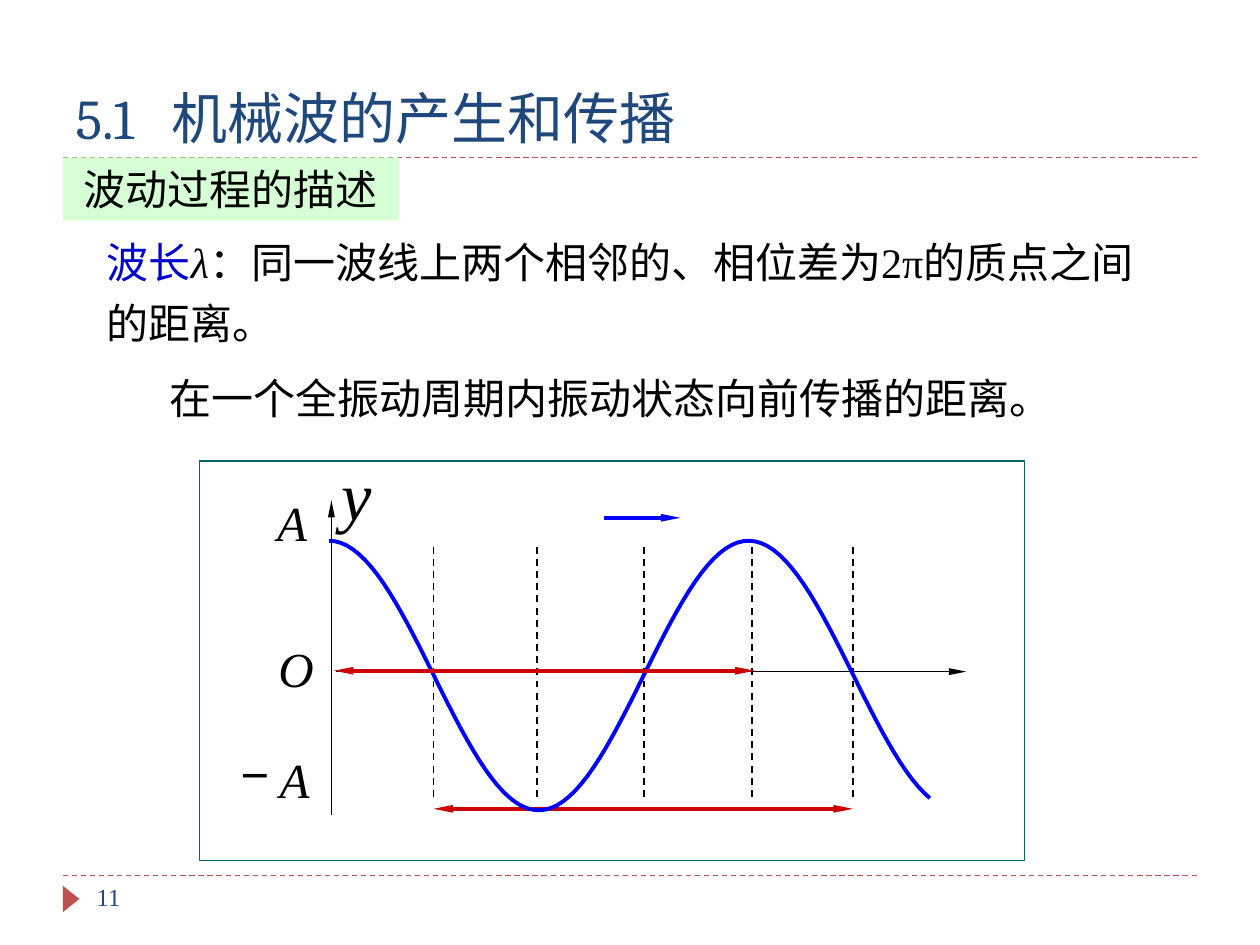
import math
from dataclasses import dataclass
from typing import Optional

import pptx
import pptx.dml.color
import pptx.enum.dml
import pptx.enum.shapes
import pptx.enum.text
import pptx.oxml
import pptx.oxml.ns
import pptx.util

Pt = pptx.util.Pt
RGB = pptx.dml.color.RGBColor.from_string
Shape = pptx.enum.shapes.MSO_SHAPE
Align = pptx.enum.text.PP_ALIGN
Anchor = pptx.enum.text.MSO_ANCHOR
AutoSize = pptx.enum.text.MSO_AUTO_SIZE
qn = pptx.oxml.ns.qn


@dataclass(frozen=True)
class Theme:
    accent: str = "C0504D"
    navy: str = "1F497D"
    term: str = "0000CC"
    text: str = "000000"
    band: str = "CCFFCC"
    panel: str = "FFFFFF"
    panel_line: str = "006666"
    wave: str = "0000FF"
    span: str = "CC0000"
    serif: str = "Times New Roman"
    sans: str = "Arial"
    heading: str = "Cambria"
    title_size: float = 32
    body_size: float = 24
    label_size: float = 28
    axis_size: float = 39
    number_size: float = 14


T = Theme()


@dataclass(frozen=True)
class Run:
    text: str
    size: float = T.body_size
    font: str = T.serif
    color: str = T.text
    italic: bool = False


@dataclass(frozen=True)
class Box:
    left: float
    top: float
    width: float
    height: float
    runs: tuple[Run, ...]
    spacing: Optional[float] = None
    inset: bool = True
    wrap: bool = True


@dataclass(frozen=True)
class Line:
    x1: float
    y1: float
    x2: float
    y2: float
    color: str
    width: float
    dashed: bool = False
    head: bool = False
    tail: bool = False


RULES = [Line(36, y, 684, y, T.accent, 0.75, dashed=True) for y in (500.4, 90)]

BODY = [
    Box(48.2, 500.4, 156, 28.8, (Run("11", T.number_size, color=T.navy),)),
    Box(54, 126, 624, 76.3, (
        Run("波长", color=T.term),
        Run("λ", italic=True),
        Run("：同一波线上两个相邻的、相位差为2π的质点之间的距离。"),
    ), spacing=1.2),
    Box(90, 203.8, 552, 41.8,
        (Run("在一个全振动周期内振动状态向前传播的距离。"),), spacing=1.2),
]


def label(text: str, left: float, top: float, width: float,
          size: float = T.label_size, font: str = T.serif, italic: bool = True) -> Box:
    return Box(left, top, width, size * 1.2,
               (Run(text, size, font, italic=italic),), inset=False, wrap=False)


LABELS = [
    label("O", 159.1, 365, 20.2),
    label("y", 195.1, 258.5, 22.3, size=T.axis_size),
    label("A", 158.4, 281.5, 17.3),
    label("A", 159.8, 428.4, 17.3),
    label("−", 137.5, 424.8, 15.1, font=T.sans, italic=False),
]

QUARTERS = (247.7, 306.7, 367.9, 429.8, 487.4)
AXES_AND_GUIDES = [
    Line(QUARTERS[0], 462.2, QUARTERS[-1], 462.2, T.span, 2.25, head=True, tail=True),
    Line(344.9, 295.9, 388.8, 295.9, T.wave, 2.25, tail=True),
    Line(189.4, 465.8, 189.4, 285.8, T.text, 1, tail=True),
    Line(192.2, 383.8, 552.2, 383.8, T.text, 1, tail=True),
    *(Line(x, 312.5, x, 456.5, T.text, 1, dashed=True) for x in QUARTERS),
]
WAVELENGTH_SPAN = Line(190.8, 383.3, 431.3, 383.3, T.span, 2.25, head=True, tail=True)


def add_runs(p, runs: tuple[Run, ...]) -> None:
    for run in runs:
        r = p.add_run()
        r.text = run.text
        r.font.size = Pt(run.size)
        r.font.name = run.font
        r.font.italic = run.italic
        r.font.color.rgb = RGB(run.color)


def add_box(shapes, box: Box) -> None:
    sp = shapes.add_textbox(Pt(box.left), Pt(box.top), Pt(box.width), Pt(box.height))
    tf = sp.text_frame
    tf.word_wrap = box.wrap
    if not box.inset:
        tf.margin_left = tf.margin_top = tf.margin_right = tf.margin_bottom = 0
    p = tf.paragraphs[0]
    if box.spacing:
        p.line_spacing = box.spacing
    add_runs(p, box.runs)


def add_line(shapes, line: Line) -> None:
    cn = shapes.add_connector(pptx.enum.shapes.MSO_CONNECTOR.STRAIGHT,
                              Pt(line.x1), Pt(line.y1), Pt(line.x2), Pt(line.y2))
    cn.line.color.rgb = RGB(line.color)
    cn.line.width = Pt(line.width)
    if line.dashed:
        cn.line.dash_style = pptx.enum.dml.MSO_LINE.DASH
    ln = cn.line._get_or_add_ln()
    for tag, shown in (("a:headEnd", line.head), ("a:tailEnd", line.tail)):
        if shown:
            end = pptx.oxml.parse_xml(
                f'<{tag} {pptx.oxml.ns.nsdecls("a")} type="triangle" w="sm" len="lg"/>')
            ln.append(end)
    ln.getparent().append(ln.makeelement(qn("a:effectLst"), {}))


def add_filled(shapes, kind, left: float, top: float, width: float, height: float,
               fill: str, outline: Optional[str] = None):
    sp = shapes.add_shape(kind, Pt(left), Pt(top), Pt(width), Pt(height))
    sp.shadow.inherit = False
    sp.fill.solid()
    sp.fill.fore_color.rgb = RGB(fill)
    if outline:
        sp.line.color.rgb = RGB(outline)
        sp.line.width = Pt(0.75)
    else:
        sp.line.fill.background()
    return sp


def add_wave(shapes) -> None:
    """Draw a cosine curve over a little more than 1.4 wavelengths."""
    start, end, middle, amplitude, wavelength, steps = 188, 531.4, 386, 77, 239.8, 100
    points = []
    for i in range(steps + 1):
        x = start + (end - start) * i / steps
        y = middle - amplitude * math.cos(2 * math.pi * (x - start) / wavelength)
        points.append((Pt(x), Pt(y)))
    fb = shapes.build_freeform(*points[0])
    fb.add_line_segments(points[1:], close=False)
    sp = fb.convert_to_shape()
    sp.shadow.inherit = False
    sp.fill.background()
    sp.line.color.rgb = RGB(T.wave)
    sp.line.width = Pt(2.25)


def add_title(s) -> None:
    sp = s.shapes.title
    sp.left, sp.top, sp.width, sp.height = Pt(36), Pt(18), Pt(648), Pt(72)
    tf = sp.text_frame
    tf.auto_size = AutoSize.NONE
    tf.vertical_anchor = Anchor.BOTTOM
    p = tf.paragraphs[0]
    p.alignment = Align.LEFT
    p._p.get_or_add_pPr().append(pptx.oxml.parse_xml(
        f'<a:tabLst {pptx.oxml.ns.nsdecls("a")}><a:tab pos="{Pt(55)}" algn="l"/></a:tabLst>'))
    add_runs(p, (Run("5.1\t机械波的产生和传播", T.title_size, T.heading, T.navy),))


def add_subtitle(s) -> None:
    sp = add_filled(s.shapes, Shape.RECTANGLE, 36, 90, 192, 36, T.band)
    color = sp.fill._xPr.find(qn("a:solidFill"))[0]
    color.append(color.makeelement(qn("a:alpha"), {"val": "80000"}))
    tf = sp.text_frame
    tf.word_wrap = False
    tf.vertical_anchor = Anchor.MIDDLE
    p = tf.paragraphs[0]
    p.alignment = Align.CENTER
    add_runs(p, (Run("波动过程的描述", font=T.sans),))


def add_diagram(s) -> None:
    shapes = s.shapes.add_group_shape().shapes
    add_filled(shapes, Shape.RECTANGLE, 113.8, 263.5, 471.6, 228.2, T.panel, T.panel_line)
    for box in LABELS:
        add_box(shapes, box)
    for line in AXES_AND_GUIDES:
        add_line(shapes, line)
    add_wave(shapes)
    add_line(shapes, WAVELENGTH_SPAN)


def main() -> None:
    prs = pptx.Presentation()
    prs.slide_width, prs.slide_height = Pt(720), Pt(540)
    s = prs.slides.add_slide(prs.slide_layouts[5])
    for line in RULES:
        add_line(s.shapes, line)
    add_filled(s.shapes, Shape.ISOSCELES_TRIANGLE, 33.1, 509, 15.1, 9.4, T.accent).rotation = 90
    add_title(s)
    add_subtitle(s)
    for box in BODY:
        add_box(s.shapes, box)
    add_diagram(s)
    prs.save("out.pptx")


if __name__ == "__main__":
    main()
